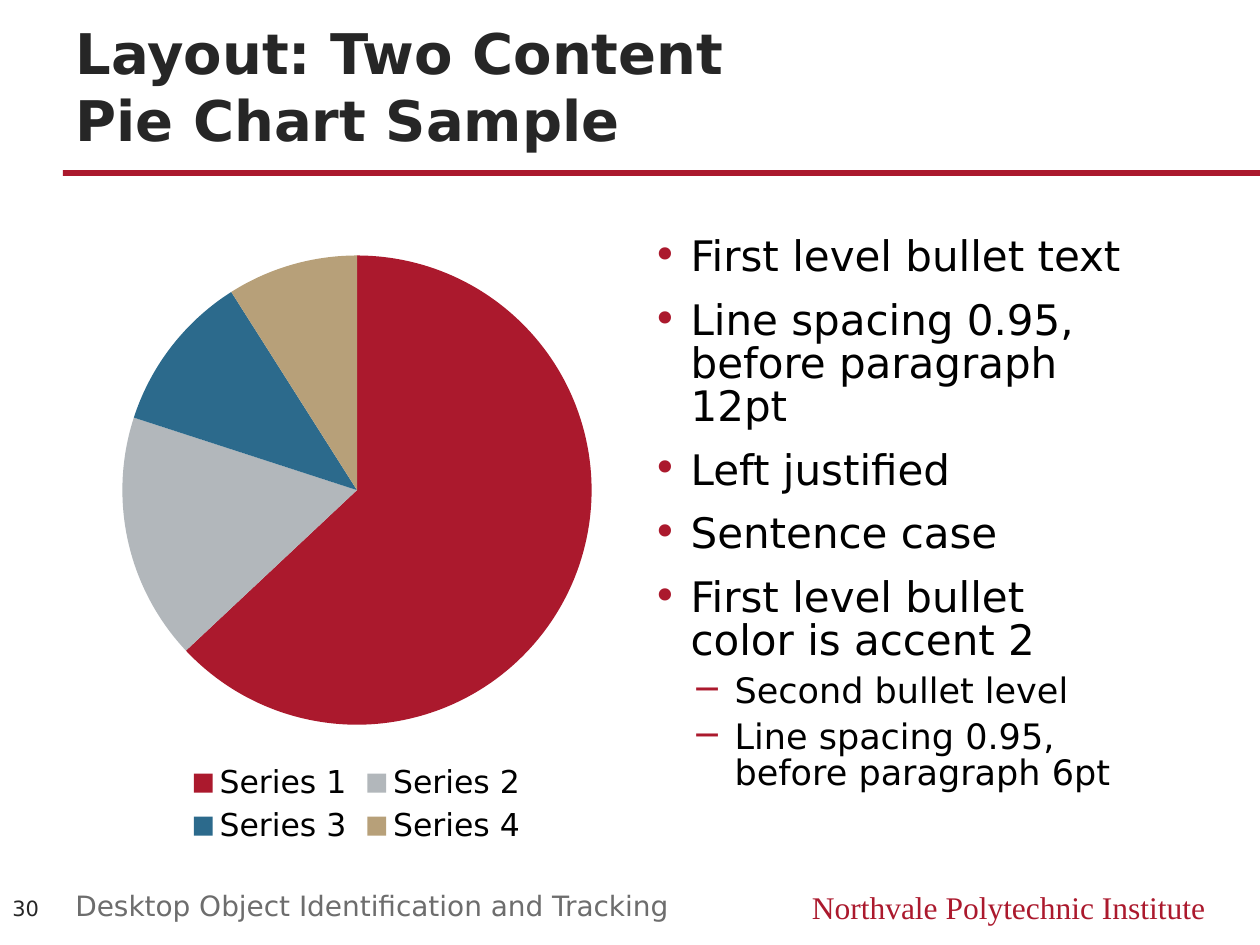
from lxml import etree
from pptx import Presentation
from pptx.chart.data import CategoryChartData
from pptx.dml.color import RGBColor
from pptx.enum.chart import XL_CHART_TYPE, XL_LEGEND_POSITION
from pptx.enum.shapes import MSO_SHAPE
from pptx.enum.text import MSO_ANCHOR, MSO_AUTO_SIZE, PP_ALIGN
from pptx.oxml.ns import qn
from pptx.util import Emu, Pt

PIE = XL_CHART_TYPE.PIE
LEGEND_BOTTOM = XL_LEGEND_POSITION.BOTTOM
RECTANGLE = MSO_SHAPE.RECTANGLE
TOP, MIDDLE, BOTTOM = MSO_ANCHOR.TOP, MSO_ANCHOR.MIDDLE, MSO_ANCHOR.BOTTOM
LEFT, RIGHT = PP_ALIGN.LEFT, PP_ALIGN.RIGHT
NO_FIT = MSO_AUTO_SIZE.NONE

CRIMSON = RGBColor(0xAB, 0x19, 0x2D)
SILVER = RGBColor(0xB2, 0xB7, 0xBB)
BLUE = RGBColor(0x2C, 0x6A, 0x8C)
TAN = RGBColor(0xB7, 0xA0, 0x79)
CHARCOAL = RGBColor(0x26, 0x26, 0x26)
GRAY = RGBColor(0x6D, 0x6D, 0x6D)
BLACK = RGBColor(0, 0, 0)

SANS, SERIF = "DejaVu Sans", "Times New Roman"
PIXEL = 914400 / 126

SLICES = [("Series 1", 63, CRIMSON), ("Series 2", 17, SILVER),
          ("Series 3", 11, BLUE), ("Series 4", 9, TAN)]
BULLETS = [
    (0, "First level bullet text"),
    (0, "Line spacing 0.95, before paragraph 12pt"),
    (0, "Left justified"),
    (0, "Sentence case"),
    (0, "First level bullet color is accent 2"),
    (1, "Second bullet level"),
    (1, "Line spacing 0.95, before paragraph 6pt"),
]
# Per level: bullet mark, text size, space before, left margin in pixels
LEVELS = [("•", 24, 12, 38), ("─", 20, 6, 82)]
HANGING = 38


def px(length):
    return Emu(round(length * PIXEL))


def place(shape, box):
    for name, length in zip(("left", "top", "width", "height"), box):
        setattr(shape, name, px(length))


def set_font(font, color, **values):
    font.color.rgb = color
    for name, value in values.items():
        setattr(font, name, value)


def set_frame(frame, anchor):
    values = {"word_wrap": True, "auto_size": NO_FIT, "vertical_anchor": anchor}
    for name, value in values.items():
        setattr(frame, name, value)


def set_bullet(para, mark, margin):
    properties = para._p.get_or_add_pPr()
    properties.set("marL", str(px(margin)))
    properties.set("indent", str(-px(HANGING)))
    color = etree.SubElement(properties, qn("a:buClr"))
    etree.SubElement(color, qn("a:srgbClr"), val=str(CRIMSON))
    etree.SubElement(properties, qn("a:buFont"), typeface=SANS)
    etree.SubElement(properties, qn("a:buChar"), char=mark)


def add_label(page, box, text, color, size, name=SANS, align=LEFT, anchor=TOP):
    left, top, width, height = map(px, box)
    frame = page.shapes.add_textbox(left, top, width, height).text_frame
    set_frame(frame, anchor)
    para = frame.paragraphs[0]
    para.alignment = align
    span = para.add_run()
    span.text = text
    set_font(span.font, color, size=Pt(size), name=name)


def add_header(page, box):
    left, top, width, height = box
    # Rule below the title, running to the slide edge
    rule = page.shapes.add_shape(RECTANGLE, 0, 0, 0, 0)
    place(rule, (left, top + height + 11, width + 63, 6))
    rule.shadow.inherit = False
    rule.fill.solid()
    rule.fill.fore_color.rgb = CRIMSON
    rule.line.fill.background()
    # Title
    title = page.shapes.title
    place(title, box)
    title.text_frame.text = "Layout: Two Content\vPie Chart Sample"
    set_frame(title.text_frame, BOTTOM)
    para = title.text_frame.paragraphs[0]
    para.alignment = LEFT
    for span in para.runs:
        set_font(span.font, CHARCOAL, size=Pt(32), name=SANS, bold=True)


def add_pie(page, box):
    data = CategoryChartData()
    data.categories = [name for name, _, _ in SLICES]
    data.add_series("Series 1", [value for _, value, _ in SLICES])
    chart = page.shapes.add_chart(PIE, *map(px, box), data).chart
    set_font(chart.font, BLACK, size=Pt(18), name=SANS)
    chart.has_title = False
    chart.has_legend = True
    chart.legend.position = LEGEND_BOTTOM
    chart.legend.include_in_layout = False
    plot = chart.plots[0]
    plot.vary_by_categories = True
    for index, (_, _, color) in enumerate(SLICES):
        fill = plot.series[0].points[index].format.fill
        fill.solid()
        fill.fore_color.rgb = color


def add_bullets(page, box):
    body = page.placeholders[1]
    place(body, box)
    frame = body.text_frame
    frame.text = "\n".join(text for _, text in BULLETS)
    set_frame(frame, TOP)
    for para, (level, _) in zip(frame.paragraphs, BULLETS):
        mark, size, space, margin = LEVELS[level]
        values = {"level": level, "alignment": LEFT, "line_spacing": 0.85,
                  "space_before": Pt(space)}
        for name, value in values.items():
            setattr(para, name, value)
        set_bullet(para, mark, margin)
        set_font(para.runs[0].font, BLACK, size=Pt(size), name=SANS)


def add_footer(page, box):
    left, top, width, height = box
    add_label(page, (left, top, 63, height), "30", CHARCOAL, 12, anchor=MIDDLE)
    add_label(page, (left + 63, top + 1, 703, 42),
              "Desktop Object Identification and Tracking", GRAY, 16)
    add_label(page, (left + width - 462, top + 1, 462, 50),
              "Northvale Polytechnic Institute", CRIMSON, 18, SERIF, RIGHT)


deck = Presentation()
deck.slide_width, deck.slide_height = px(1260), px(945)
page = deck.slides.add_slide(deck.slide_layouts[1])
add_header(page, (63, 48, 1134, 111))
add_pie(page, (105, 231, 504, 620))
add_bullets(page, (640, 231, 504, 620))
add_footer(page, (0, 881, 1218, 54))
deck.save("out.pptx")
